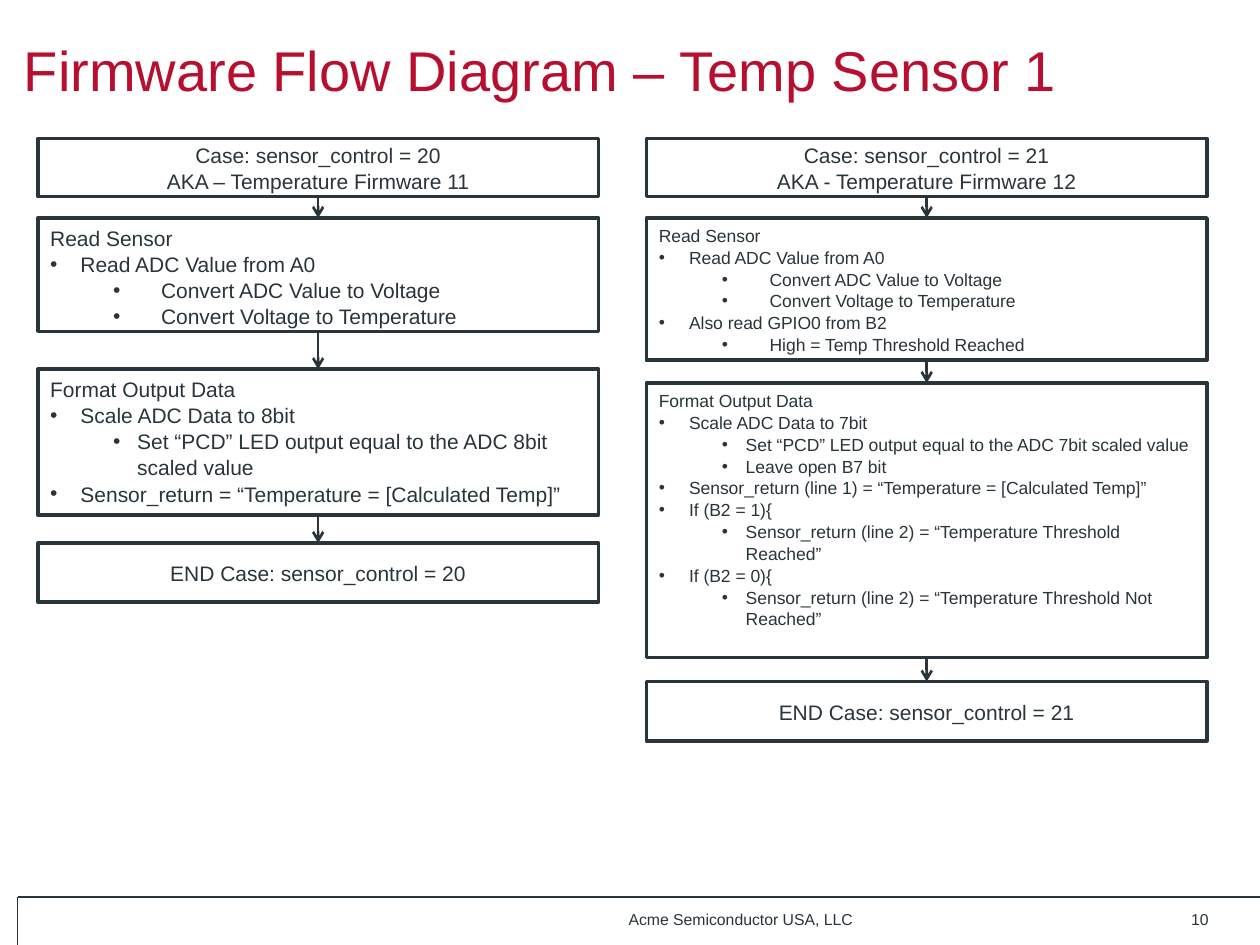
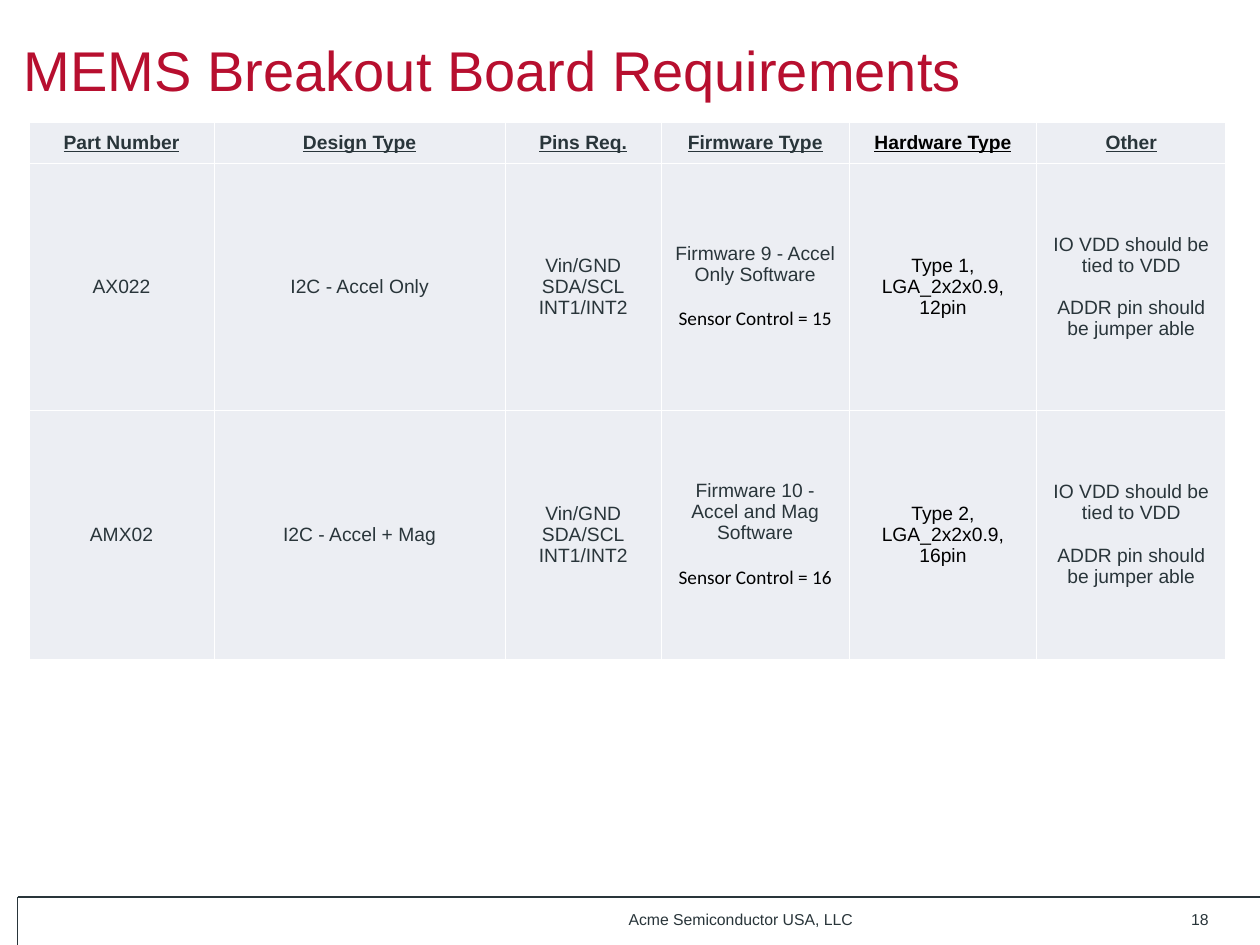
import pptx
import pptx.util
import pptx.dml.color
import pptx.enum.shapes
import pptx.enum.text
import pptx.oxml
import pptx.oxml.ns
from dataclasses import dataclass
from lxml import etree

Inches = pptx.util.Inches
Pt = pptx.util.Pt
ALIGN = pptx.enum.text.PP_ALIGN
ANCHOR = pptx.enum.text.MSO_ANCHOR
qn = pptx.oxml.ns.qn


@dataclass(frozen=True)
class Theme:
    ink: str = "29353A"
    title_red: str = "B70F2F"
    black: str = "000000"
    white: str = "FFFFFF"
    cell_fill: str = "ECEEF3"
    font: str = "Arial"
    note_font: str = "Calibri"
    title_size: float = 32
    flow_size: float = 12
    detail_size: float = 10
    table_size: float = 11
    footer_size: float = 9
    flow_spacing: float = 1.04
    table_spacing: float = 0.98


THEME = Theme()

# ---- Content ----
FOOTER = "Acme Semiconductor USA, LLC"

FLOW_TITLE, FLOW_PAGE = "Firmware Flow Diagram – Temp Sensor 1", "10"
# Steps: top, height, text size, sub-bullet (left, hanging), lines as (level, text).
# Level None is plain text; a step without sub-bullets is centred.
WIDE_BULLET, TIGHT_BULLET = (0.88, 0.38), (0.69, 0.19)
FLOWS = [
    {"left": 0.3, "width": 4.45, "steps": [
        (1.1, 0.46, THEME.flow_size, None, [
            (None, "Case: sensor_control = 20"),
            (None, "AKA – Temperature Firmware 11")]),
        (1.73, 0.9, THEME.flow_size, WIDE_BULLET, [
            (None, "Read Sensor"),
            (0, "Read ADC Value from A0"),
            (1, "Convert ADC Value to Voltage"),
            (1, "Convert Voltage to Temperature")]),
        (2.93, 1.16, THEME.flow_size, TIGHT_BULLET, [
            (None, "Format Output Data"),
            (0, "Scale ADC Data to 8bit"),
            (1, "Set “PCD” LED output equal to the ADC 8bit scaled value"),
            (0, "Sensor_return = “Temperature = [Calculated Temp]”")]),
        (4.31, 0.47, THEME.flow_size, None, [
            (None, "END Case: sensor_control = 20")]),
    ]},
    {"left": 5.13, "width": 4.45, "steps": [
        (1.1, 0.46, THEME.flow_size, None, [
            (None, "Case: sensor_control = 21"),
            (None, "AKA - Temperature Firmware 12")]),
        (1.73, 1.13, THEME.detail_size, WIDE_BULLET, [
            (None, "Read Sensor"),
            (0, "Read ADC Value from A0"),
            (1, "Convert ADC Value to Voltage"),
            (1, "Convert Voltage to Temperature"),
            (0, "Also read GPIO0 from B2"),
            (1, "High = Temp Threshold Reached")]),
        (3.04, 2.18, THEME.detail_size, TIGHT_BULLET, [
            (None, "Format Output Data"),
            (0, "Scale ADC Data to 7bit"),
            (1, "Set “PCD” LED output equal to the ADC 7bit scaled value"),
            (1, "Leave open B7 bit"),
            (0, "Sensor_return (line 1) = “Temperature = [Calculated Temp]”"),
            (0, "If (B2 = 1){"),
            (1, "Sensor_return (line 2) = “Temperature Threshold Reached”"),
            (0, "If (B2 = 0){"),
            (1, "Sensor_return (line 2) = “Temperature Threshold Not Reached”")]),
        (5.41, 0.47, THEME.flow_size, None, [
            (None, "END Case: sensor_control = 21")]),
    ]},
]

BOARD_TITLE, BOARD_PAGE = "MEMS Breakout Board Requirements", "18"
PINS = "Vin/GND\nSDA/SCL\nINT1/INT2"
WIRING = "IO VDD should be tied to VDD\nADDR pin should be jumper able"
BOARD_ROWS = [
    ("Part Number", "Design Type", "Pins Req.", "Firmware Type",
     "Hardware Type", "Other"),
    ("AX022", "I2C - Accel Only", PINS,
     "Firmware 9 - Accel Only Software\nSensor Control = 15",
     "Type 1, LGA_2x2x0.9, 12pin", WIRING),
    ("AMX02", "I2C - Accel + Mag", PINS,
     "Firmware 10 - Accel and Mag Software\nSensor Control = 16",
     "Type 2, LGA_2x2x0.9, 16pin", WIRING),
]
COLUMN_WIDTHS = [1.47, 2.31, 1.24, 1.49, 1.49, 1.5]
ROW_HEIGHTS = [0.33, 1.96, 1.97]
FIRMWARE, HARDWARE, OTHER = 3, 4, 5


# ---- Shared helpers ----
def rgb(value):
    return pptx.dml.color.RGBColor.from_string(value)


def style(para, size, color=THEME.ink, font=THEME.font, align=ALIGN.LEFT):
    para.alignment = align
    for span in para.runs:
        span.font.size = Pt(size)
        span.font.name = font
        span.font.color.rgb = rgb(color)


def add_line(page, start, end, weight, arrow=False):
    line = page.shapes.add_connector(
        pptx.enum.shapes.MSO_CONNECTOR.STRAIGHT,
        *(Inches(value) for value in (*start, *end)))
    line.line.color.rgb = rgb(THEME.ink)
    line.line.width = Pt(weight)
    if arrow:
        etree.SubElement(line.line._get_or_add_ln(), qn("a:tailEnd"), type="arrow")
    etree.SubElement(line._element.spPr, qn("a:effectLst"))


def add_label(page, text, left, width, align):
    box = page.shapes.add_textbox(Inches(left), Inches(7.17), Inches(width), Inches(0.33))
    box.text_frame.word_wrap = True
    box.text_frame.text = text
    style(box.text_frame.paragraphs[0], THEME.footer_size, align=align)


def add_page(deck, title_text, number):
    page = deck.slides.add_slide(deck.slide_layouts.get_by_name("Title Only"))
    title = page.shapes.title
    title.left, title.top = Inches(0.09), Inches(0)
    title.width, title.height = Inches(8.85), Inches(1.09)
    frame = title.text_frame
    frame.text = title_text
    frame.auto_size = pptx.enum.text.MSO_AUTO_SIZE.NONE
    frame.vertical_anchor = ANCHOR.MIDDLE
    style(frame.paragraphs[0], THEME.title_size, THEME.title_red)
    # Footer frame and labels
    corner = (0.14, 7.12)
    add_line(page, corner, (10, 7.12), 0.75)
    add_line(page, corner, (0.14, 7.5), 0.75)
    add_label(page, FOOTER, 4.89, 2.22, ALIGN.LEFT)
    add_label(page, number, 8.77, 0.92, ALIGN.RIGHT)
    return page


# ---- Flow diagram ----
def set_bullet(para, left, hanging):
    properties = para._p.get_or_add_pPr()
    properties.set("marL", str(Inches(left)))
    properties.set("indent", str(-Inches(hanging)))
    etree.SubElement(properties, qn("a:buFont"), typeface=THEME.font)
    etree.SubElement(properties, qn("a:buChar"), char="•")


def add_step(page, left, width, step):
    top, height, size, sub_bullet, lines = step
    box = page.shapes.add_shape(
        pptx.enum.shapes.MSO_SHAPE.RECTANGLE,
        *(Inches(value) for value in (left, top, width, height)))
    box.shadow.inherit = False
    box.fill.solid()
    box.fill.fore_color.rgb = rgb(THEME.white)
    box.line.color.rgb = rgb(THEME.ink)
    box.line.width = Pt(2)
    frame = box.text_frame
    frame.word_wrap = True
    frame.vertical_anchor = ANCHOR.TOP if sub_bullet else ANCHOR.MIDDLE
    frame.text = "\n".join(text for _, text in lines)
    for para, (level, _) in zip(frame.paragraphs, lines):
        style(para, size, align=ALIGN.LEFT if sub_bullet else ALIGN.CENTER)
        para.line_spacing = THEME.flow_spacing
        if level is not None:
            para.level = level
            set_bullet(para, *(sub_bullet if level else (0.24, 0.24)))


def build_flow(deck):
    page = add_page(deck, FLOW_TITLE, FLOW_PAGE)
    for flow in FLOWS:
        steps = flow["steps"]
        for step in steps:
            add_step(page, flow["left"], flow["width"], step)
        middle = flow["left"] + flow["width"] / 2
        for upper, lower in zip(steps, steps[1:]):
            add_line(page, (middle, upper[0] + upper[1]), (middle, lower[0]), 1.5, arrow=True)


# ---- Requirements table ----
def fill_cell(cell, text, row, column):
    properties = cell._tc.get_or_add_tcPr()
    for side in ("a:lnL", "a:lnR", "a:lnT", "a:lnB"):
        border = etree.SubElement(properties, qn(side), w=str(Pt(0.45)))
        paint = etree.SubElement(border, qn("a:solidFill"))
        etree.SubElement(paint, qn("a:srgbClr"), val=THEME.white)
    cell.fill.solid()
    cell.fill.fore_color.rgb = rgb(THEME.cell_fill)
    cell.vertical_anchor = ANCHOR.MIDDLE
    cell.text_frame.text = text
    for index, para in enumerate(cell.text_frame.paragraphs):
        is_note = column == FIRMWARE and index > 0
        color = THEME.black if is_note or column == HARDWARE else THEME.ink
        font = THEME.note_font if is_note else THEME.font
        style(para, THEME.table_size, color, font, ALIGN.CENTER)
        para.line_spacing = THEME.table_spacing
        if index and column in (FIRMWARE, OTHER):
            para.space_before = Pt(12.4)
        for span in para.runs:
            span.font.bold = span.font.underline = row == 0


def build_board(deck):
    page = add_page(deck, BOARD_TITLE, BOARD_PAGE)
    table = page.shapes.add_table(
        len(BOARD_ROWS), len(COLUMN_WIDTHS), Inches(0.23), Inches(0.97),
        Inches(sum(COLUMN_WIDTHS)), Inches(sum(ROW_HEIGHTS))).table
    table.first_row = table.horz_banding = False
    for column, width in zip(table.columns, COLUMN_WIDTHS):
        column.width = Inches(width)
    for row, height in zip(table.rows, ROW_HEIGHTS):
        row.height = Inches(height)
    for row, texts in enumerate(BOARD_ROWS):
        for column, text in enumerate(texts):
            fill_cell(table.cell(row, column), text, row, column)


def main():
    deck = pptx.Presentation()
    deck.slide_width, deck.slide_height = Inches(10), Inches(7.5)
    build_flow(deck)
    build_board(deck)
    deck.save("out.pptx")


if __name__ == "__main__":
    main()
